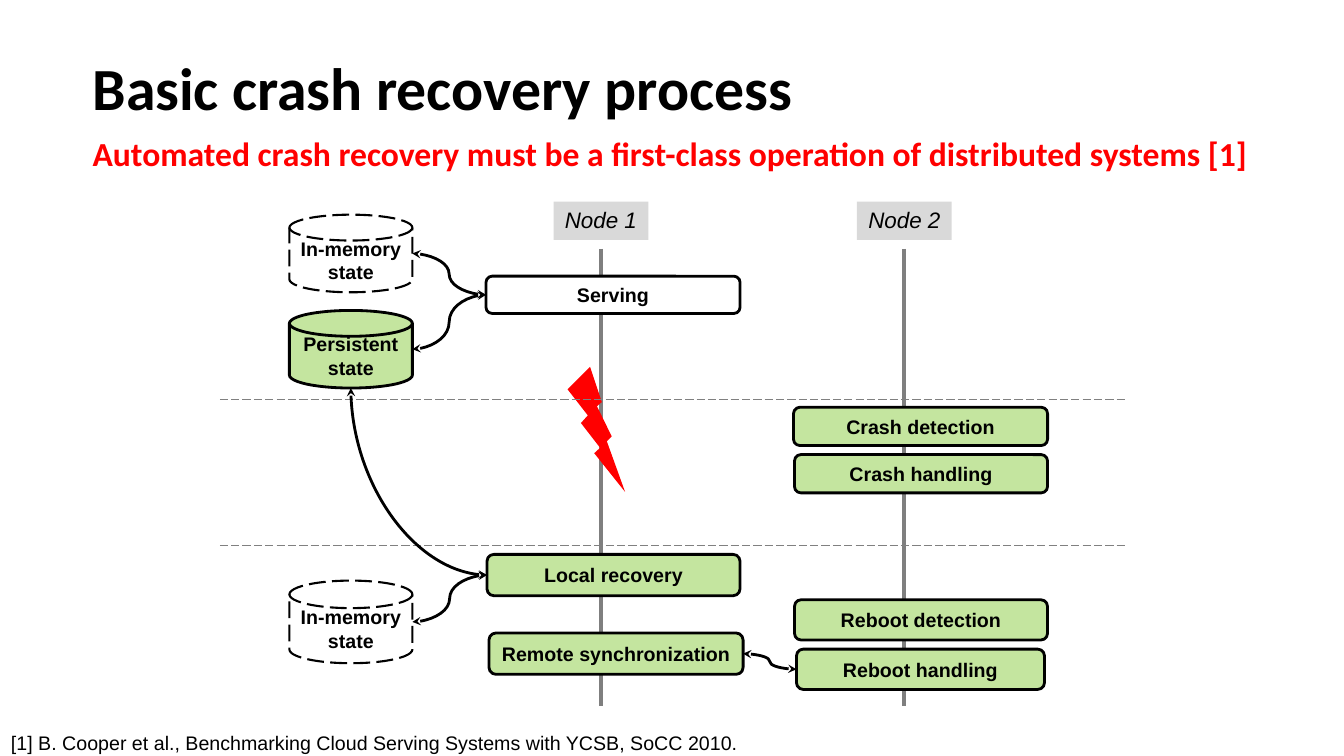
from lxml.etree import SubElement
from pptx import Presentation
from pptx.dml.color import RGBColor
from pptx.enum.dml import MSO_LINE as Dash
from pptx.enum.shapes import MSO_CONNECTOR as Link, MSO_SHAPE as Kind
from pptx.enum.text import MSO_ANCHOR as Anchor, PP_ALIGN as Align
from pptx.oxml.ns import qn
from pptx.util import Inches, Pt

BLACK, WHITE, GREEN = "000000", "FFFFFF", "C4E59F"
RED, GREY, PALE, DIM = "FF0000", "7F7F7F", "D9D9D9", "808080"


def color(code):
    return RGBColor.from_string(code)


def cell(box, cols, rows):
    """Return a function that maps grid columns and rows to slide lengths."""
    left, top, wide, high = box

    def place(col, row, span=0, depth=0):
        return (Inches(left + col * wide / cols), Inches(top + row * high / rows),
                Inches(span * wide / cols), Inches(depth * high / rows))
    return place


def write(shape, lines, size, code=BLACK, font="Arial", bold=False,
          italic=False, align=Align.CENTER, anchor=Anchor.MIDDLE, lead=None):
    frame = shape.text_frame
    frame.word_wrap = True
    frame.vertical_anchor = anchor
    for i, line in enumerate(lines):
        para = frame.add_paragraph() if i else frame.paragraphs[0]
        para.alignment = align
        if lead:
            para.line_spacing = lead
        run = para.add_run()
        run.text = line
        face = run.font
        face.name, face.size, face.bold, face.italic = font, Pt(size), bold, italic
        face.color.rgb = color(code)


def label(slide, box, text, size, **style):
    area = slide.shapes.add_textbox(*map(Inches, box))
    write(area, [text], size, align=Align.LEFT, **style)


def stroke(line, code, width, dash=None):
    line.color.rgb = color(code)
    line.width = Pt(width)
    if dash:
        line.dash_style = dash


def block(slide, kind, spot, fill=None, width=0, dash=None):
    shape = slide.shapes.add_shape(kind, *spot)
    shape.shadow.inherit = False
    if fill:
        shape.fill.solid()
        shape.fill.fore_color.rgb = color(fill)
    else:
        shape.fill.background()
    if width:
        stroke(shape.line, BLACK, width, dash)
    else:
        shape.line.fill.background()
    return shape


def wire(slide, kind, start, end, code, width, dash=None):
    link = slide.shapes.add_connector(kind, *start, *end)
    stroke(link.line, code, width, dash)
    SubElement(link._element.spPr, qn("a:effectLst"))
    return link


def side(shape, where):
    """Middle of the left, right or bottom side."""
    x, y, w, h = shape.left, shape.top, shape.width, shape.height
    return {"left": (x, y + h // 2), "right": (x + w, y + h // 2),
            "bottom": (x + w // 2, y + h)}[where]


def curve(slide, start, end, bend=False):
    link = wire(slide, Link.CURVE, start, end, BLACK, 2)
    if bend:
        link._element.spPr.find(qn("a:prstGeom")).set("prst", "curvedConnector2")
    line = link.line._get_or_add_ln()
    for tip in ("a:headEnd", "a:tailEnd"):
        SubElement(line, qn(tip), type="stealth")


def header(slide, box):
    left, top, wide, high = box
    split = high * 0.63
    label(slide, (left, top, wide, split), "Basic crash recovery process", 42.7,
          font="Calibri", bold=True, anchor=Anchor.BOTTOM, lead=Pt(46.7))
    label(slide, (left, top + split, wide, high - split),
          "Automated crash recovery must be a first-class operation "
          "of distributed systems [1]", 24,
          code=RED, font="Calibri", bold=True, anchor=Anchor.TOP)


def diagram(slide, box):
    place = cell(box, 9, 5)

    # Node timelines
    for name, col in (("Node 1", 3.78), ("Node 2", 6.79)):
        wire(slide, Link.STRAIGHT, place(col, 0.47)[:2], place(col, 5)[:2], GREY, 3)
        tag = block(slide, Kind.RECTANGLE, place(col - 0.47, 0, 0.94, 0.38), PALE)
        write(tag, [name], 16, italic=True, anchor=Anchor.TOP)

    # Crash and phase borders
    block(slide, Kind.LIGHTNING_BOLT, place(3.45, 1.64, 0.57, 1.24), RED)
    for row in (1.96, 3.41):
        wire(slide, Link.STRAIGHT, place(0, row)[:2], place(9, row)[:2],
             DIM, 0.75, Dash.LONG_DASH)

    # State stores
    def store(row, depth, lines, fill=None):
        look = (fill, 2) if fill else (None, 1.5, Dash.LONG_DASH)
        disk = block(slide, Kind.FLOWCHART_MAGNETIC_DISK,
                     place(0.69, row, 1.22, depth), *look)
        write(disk, lines, 14, bold=True)
        return disk

    before = store(0.13, 0.77, ["In-memory state"])
    saved = store(1.08, 0.77, ["Persistent", "state"], GREEN)
    after = store(3.76, 0.82, ["In-memory state"])

    # Process steps
    def step(text, col, row, span, depth, fill=GREEN):
        bar = block(slide, Kind.ROUNDED_RECTANGLE,
                    place(col, row, span, depth), fill, 2)
        write(bar, [text], 14, bold=True)
        return bar

    serve = step("Serving", 2.64, 0.74, 2.52, 0.37, WHITE)
    local = step("Local recovery", 2.65, 3.5, 2.51, 0.41)
    remote = step("Remote synchronization", 2.67, 4.28, 2.52, 0.41)
    step("Crash detection", 5.69, 2.04, 2.52, 0.38)
    step("Crash handling", 5.7, 2.51, 2.51, 0.38)
    step("Reboot detection", 5.7, 3.95, 2.51, 0.4)
    reboot = step("Reboot handling", 5.72, 4.44, 2.46, 0.4)

    # Data flows
    for disk, bar in ((before, serve), (saved, serve), (after, local),
                      (remote, reboot)):
        curve(slide, side(disk, "right"), side(bar, "left"))
    curve(slide, side(local, "left"), side(saved, "bottom"), bend=True)


def footer(slide, box):
    label(slide, box, "[1] B. Cooper et al., Benchmarking Cloud Serving Systems "
          "with YCSB, SoCC 2010.", 14, anchor=Anchor.TOP, lead=1.25)


def main():
    deck = Presentation()
    deck.slide_width, deck.slide_height = Inches(13.33), Inches(7.5)
    slide = deck.slides.add_slide(deck.slide_layouts[6])
    header(slide, (0.82, 0.34, 11.84, 1.47))
    diagram(slide, (2.18, 2, 9, 5))
    footer(slide, (0.01, 7.14, 8.89, 0.36))
    deck.save("out.pptx")


if __name__ == "__main__":
    main()
